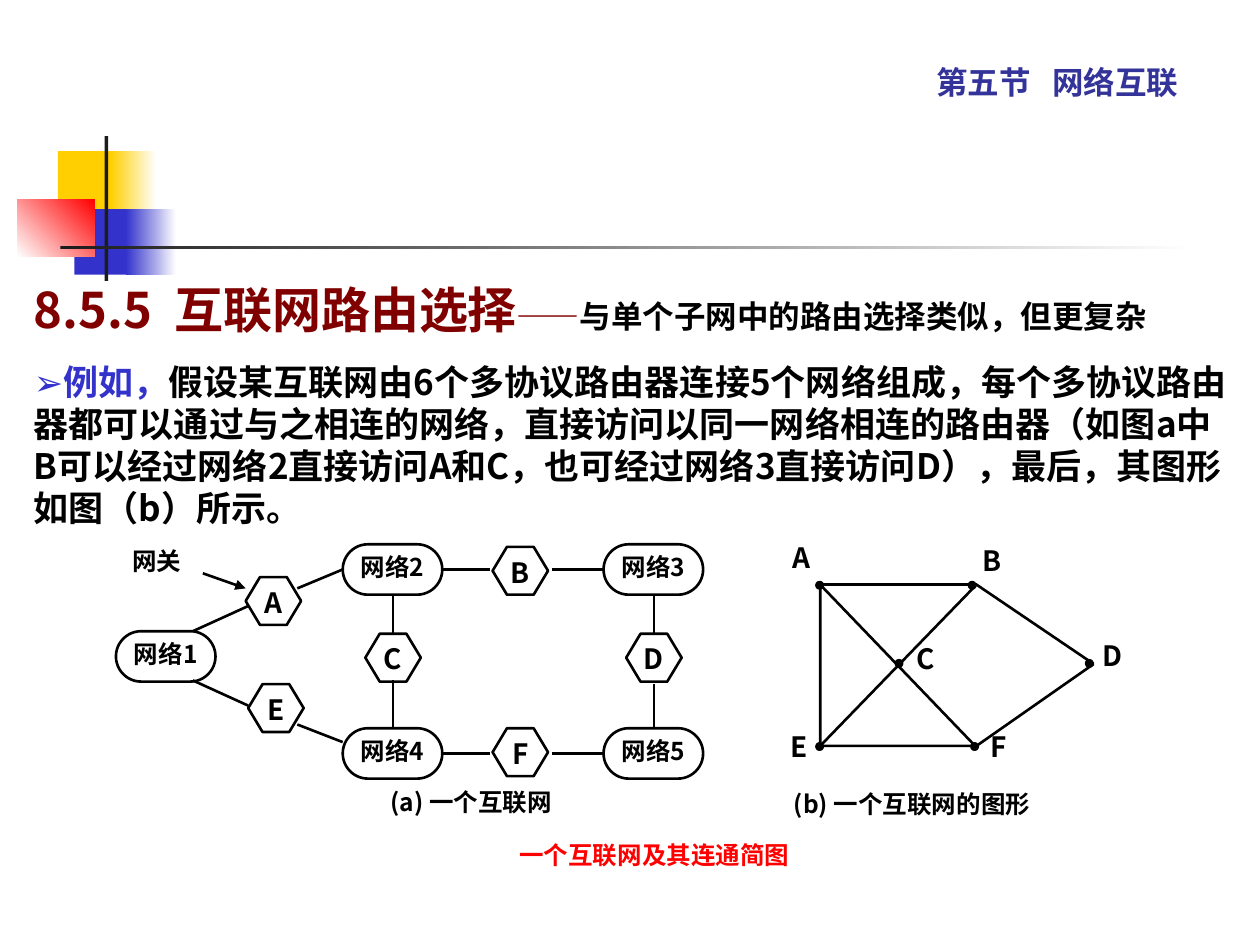
from lxml.etree import SubElement
from pptx import Presentation
from pptx.dml.color import RGBColor
from pptx.enum.shapes import MSO_CONNECTOR as Line, MSO_SHAPE as Shape
from pptx.enum.text import MSO_ANCHOR as Anchor, MSO_AUTO_SIZE as AutoSize, PP_ALIGN as Align
from pptx.oxml.ns import qn
from pptx.util import Inches, Pt

COLORS = {"black": "000000", "white": "FFFFFF", "ink": "1C1C1C", "yellow": "FFCF01",
          "blue": "3333CC", "navy": "333399", "red": "FF0000", "maroon": "800000"}
FONT = "Noto Sans CJK SC"

deck = Presentation()
deck.slide_width, deck.slide_height = Inches(10), Inches(7.5)
page = deck.slides.add_slide(deck.slide_layouts[5])


def write(frame, paras, align=Align.LEFT, anchor=Anchor.TOP, insets=(0.04, 0.04, 0.04, 0.04),
          space=0, leading=None):
    """Fill a frame; each paragraph is a list of (text, size, color, font, bold)."""
    frame.word_wrap, frame.auto_size, frame.vertical_anchor = True, AutoSize.NONE, anchor
    (frame.margin_left, frame.margin_top,
     frame.margin_right, frame.margin_bottom) = map(Inches, insets)
    for i, spans in enumerate(paras):
        para = frame.add_paragraph() if i else frame.paragraphs[0]
        para.alignment = align
        para.space_before = Pt(space if i else 0)
        if leading:
            para.line_spacing = leading
        for text, size, color, font, bold in spans:
            span = para.add_run()
            span.text = text
            span.font.size, span.font.bold, span.font.name = Pt(size), bold, font
            span.font.color.rgb = RGBColor.from_string(COLORS[color])
            SubElement(span.font._element, qn("a:ea")).set("typeface", font)


def draw(kind, left, top, width, height, fill=None, line=None, fade=None, angle=0):
    """Add a preset shape, plain or fading from fill to fade."""
    shape = page.shapes.add_shape(kind, *map(Inches, (left, top, width, height)))
    shape.shadow.inherit = False
    if fade:
        shape.fill.gradient()
        shape.fill.gradient_angle = angle
        for stop, color, position in zip(shape.fill.gradient_stops, (fill, fade), (0, 1)):
            stop.color.rgb = RGBColor.from_string(COLORS[color])
            stop.position = position
    elif fill:
        shape.fill.solid()
        shape.fill.fore_color.rgb = RGBColor.from_string(COLORS[fill])
    else:
        shape.fill.background()
    if line:
        shape.line.color.rgb = RGBColor.from_string(COLORS[line])
        shape.line.width = Pt(1.5)
    else:
        shape.line.fill.background()
    return shape


# Corner ornament and rule
for left, top, width, height, *paint in [
        (0.46, 1.2, 0.48, 0.52, "yellow"),
        (0.88, 1.2, 0.36, 0.52, "yellow", None, "white", 0),
        (0.59, 1.66, 0.46, 0.52, "blue"),
        (1, 1.66, 0.4, 0.52, "blue", None, "white", 0),
        (0.14, 1.58, 0.61, 0.46, "white", None, "red", 45),
        (0.83, 1.08, 0.03, 1.15, "ink"),
        (0.48, 1.95, 9, 0.03, "ink", None, "white", 0)]:
    draw(Shape.RECTANGLE, left, top, width, height, *paint)

# Section title
title = page.shapes.title
title.left, title.top, title.width, title.height = map(Inches, (7.33, 0.41, 2.42, 0.51))
write(title.text_frame, [[("第五节   网络互联", 18, "navy", FONT, True),
                          (" ", 44, "navy", "Roboto", False)]],
      anchor=Anchor.BOTTOM, insets=(0.1, 0.05, 0.1, 0.05))

# Networks (rounded) and routers (hexagons) of figure (a)
networks = [("网络1", 0.92, 5.01), ("网络2", 2.72, 4.32), ("网络3", 4.79, 4.32),
            ("网络4", 2.72, 5.78), ("网络5", 4.79, 5.78)]
routers = [("A", 1.95, 4.58), ("B", 3.91, 4.34), ("C", 2.9, 5.03),
           ("D", 4.97, 5.03), ("E", 1.97, 5.43), ("F", 3.91, 5.78)]
for kind, nodes, width, height, bend, size in [
        (Shape.ROUNDED_RECTANGLE, networks, 0.79, 0.4, 0.5, 14),
        (Shape.HEXAGON, routers, 0.44, 0.38, 0.3, 16)]:
    for name, left, top in nodes:
        node = draw(kind, left, top, width, height, line="black")
        node.adjustments[0] = bend
        write(node.text_frame, [[(name, size, "black", FONT, True)]],
              align=Align.CENTER, insets=(0.04, 0, 0.04, 0.04))

# Triangle A-E-F of figure (b), under its remaining edges
draw(Shape.RIGHT_TRIANGLE, 6.51, 4.64, 1.23, 1.28, "white", "black")

# Links of both figures; the last one is the gateway pointer
links = [(1.53, 5.01, 1.97, 4.81), (2.36, 4.67, 2.72, 4.52),
         (1.53, 5.4, 1.97, 5.6), (2.36, 5.75, 2.72, 5.89),
         (3.12, 4.72, 3.12, 5.03), (3.12, 5.4, 3.12, 5.78),
         (5.19, 4.72, 5.19, 5.03), (5.19, 5.43, 5.19, 5.77)]
links += [(x1, y, x2, y) for y in (4.52, 5.98) for x1, x2 in ((3.51, 3.89), (4.38, 4.79))]
links += [(6.51, 4.64, 7.75, 4.64), (6.51, 5.92, 7.75, 4.64),
          (7.75, 4.64, 8.68, 5.27), (7.75, 5.92, 8.68, 5.27),
          (1.61, 4.55, 1.95, 4.67)]
for ends in links:
    link = page.shapes.add_connector(Line.STRAIGHT, *map(Inches, ends))
    link.line.color.rgb = RGBColor.from_string(COLORS["black"])
    link.line.width = Pt(1.5)
    SubElement(link._element.spPr, qn("a:effectLst"))
SubElement(link.line._get_or_add_ln(), qn("a:tailEnd")).set("type", "triangle")

# Vertices of figure (b)
for left, top in [(6.48, 4.62), (7.69, 4.62), (8.62, 5.24),
                  (7.11, 5.24), (6.48, 5.9), (7.71, 5.9)]:
    draw(Shape.FLOWCHART_CONNECTOR, left, top, 0.05, 0.05, "black", "black")

# Labels and captions
labels = [("网关", 1.01, 4.29, 0.63, 14, "black", Align.JUSTIFY),
          ("(a) 一个互联网", 3.06, 6.21, 1.9, 14, "black", Align.JUSTIFY),
          ("(b) 一个互联网的图形", 6.26, 6.22, 2.48, 14, "black", Align.JUSTIFY),
          ("一个互联网及其连通简图", 3.11, 6.63, 4.17, 14, "red", Align.CENTER)]
labels += [(name, left, top, 0.28, 16, "black", Align.JUSTIFY) for name, left, top in [
    ("A", 6.25, 4.25), ("B", 7.76, 4.27), ("C", 7.23, 5.05),
    ("D", 8.71, 5.03), ("E", 6.23, 5.75), ("F", 7.82, 5.75)]]
for text, left, top, width, size, color, align in labels:
    box = page.shapes.add_textbox(*map(Inches, (left, top, width, 0.37)))
    write(box.text_frame, [[(text, size, color, FONT, True)]], align=align)

# Heading and example
box = page.shapes.add_textbox(*map(Inches, (0.17, 2.17, 9.67, 2.08)))
write(box.text_frame, [
    [("8.5.5  互联网路由选择", 28, "maroon", FONT, True),
     ("——", 18, "maroon", FONT, True),
     ("与单个子网中的路由选择类似，但更复杂", 18, "black", FONT, True)],
    [("➢", 20, "blue", "Arial", True),
     ("例如，", 20, "blue", FONT, True),
     ("假设某互联网由6个多协议路由器连接5个网络组成，每个多协议路由器都可以通过与之相连的网络，"
      "直接访问以同一网络相连的路由器（如图a中B可以经过网络2直接访问A和C，也可经过网络3直接访问D），"
      "最后，其图形如图（b）所示。", 20, "black", FONT, True)]],
    insets=(0.1, 0.05, 0.1, 0.05), space=12.5)

deck.save("out.pptx")
